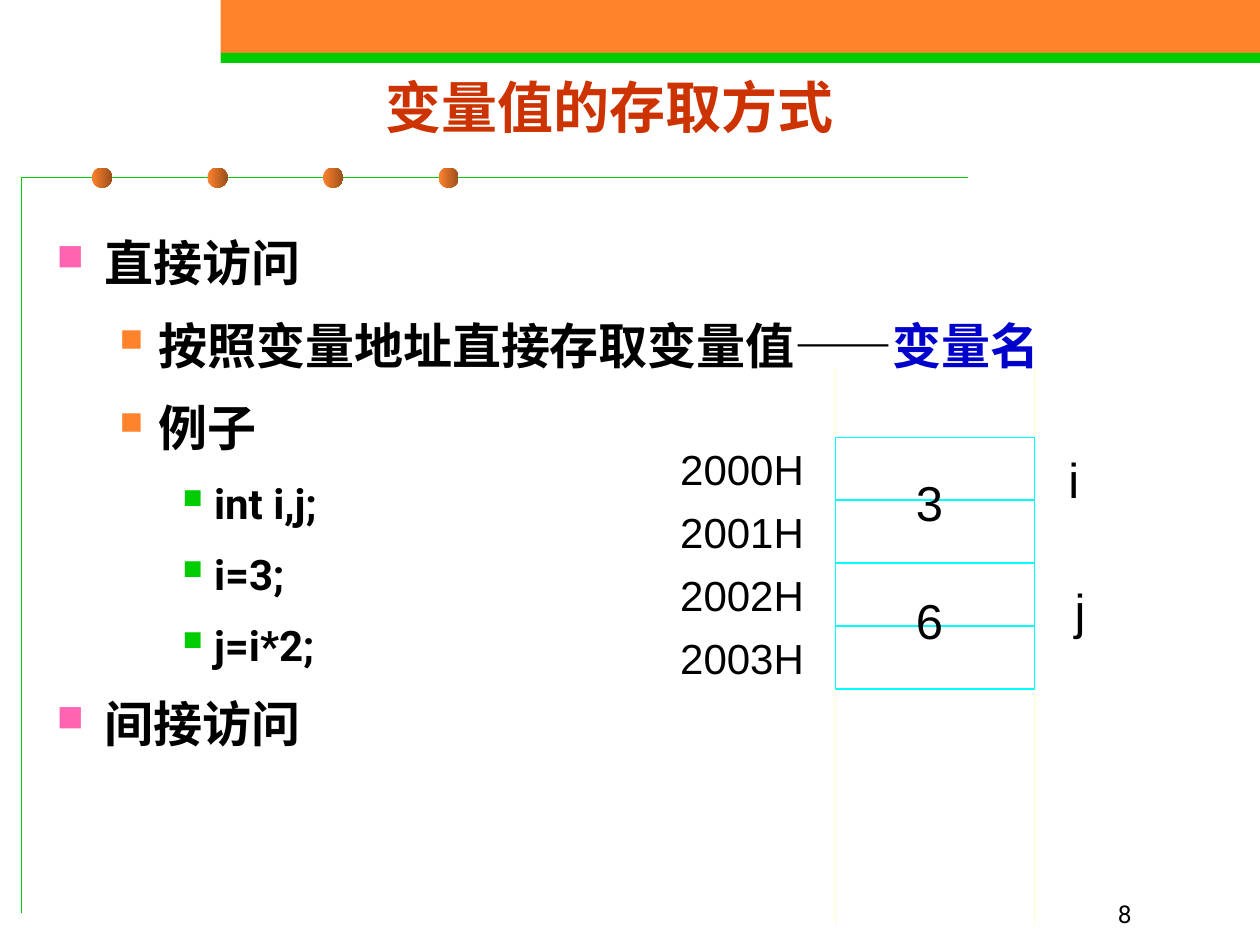
"""Build the slide on how variable values are stored and fetched."""
from dataclasses import dataclass
from typing import NamedTuple

from lxml import etree
from pptx import Presentation
from pptx.dml.color import RGBColor
from pptx.enum.shapes import MSO_CONNECTOR, MSO_SHAPE
from pptx.enum.text import MSO_ANCHOR, MSO_AUTO_SIZE, PP_ALIGN
from pptx.oxml.ns import qn
from pptx.util import Emu, Inches, Pt

RECT, OVAL = MSO_SHAPE.RECTANGLE, MSO_SHAPE.OVAL
STRAIGHT = MSO_CONNECTOR.STRAIGHT
LEFT, MID, RIGHT = PP_ALIGN.LEFT, PP_ALIGN.CENTER, PP_ALIGN.RIGHT
TOP, CENTER, BOTTOM = MSO_ANCHOR.TOP, MSO_ANCHOR.MIDDLE, MSO_ANCHOR.BOTTOM
GROW, FIXED = MSO_AUTO_SIZE.SHAPE_TO_FIT_TEXT, MSO_AUTO_SIZE.NONE
COLS, ROWS = 100, 75


@dataclass(frozen=True)
class Theme:
    sans: str = "Roboto"
    plain: str = "Arial"
    ink: str = "000000"
    title: str = "CC3300"
    key: str = "0000CC"
    orange: str = "FF822D"
    brown: str = "9B4F1B"
    green: str = "00CC00"
    pink: str = "FF63B1"
    cyan: str = "00FFFF"
    cream: str = "FFFFCC"
    head: int = 32
    large: int = 28
    small: int = 24
    page: int = 14
    thin: float = 0.75


THEME = Theme()


class Box(NamedTuple):
    col: float
    row: float
    wide: float
    high: float


class Level(NamedTuple):
    left: float
    hang: float
    space: int
    size: int
    color: str
    share: int


class Item(NamedTuple):
    level: int
    texts: tuple[tuple[str, str], ...]


class Label(NamedTuple):
    text: str
    box: Box
    size: int


LEVELS = (
    Level(3.8, 3.8, 7, THEME.large, THEME.pink, 75),
    Level(8.1, 3.1, 7, THEME.large, THEME.orange, 65),
    Level(12.5, 2.5, 6, THEME.small, THEME.green, 65),
)
ITEMS = (
    Item(0, (("直接访问", THEME.ink),)),
    Item(1, (("按照变量地址直接存取变量值——", THEME.ink), ("变量名", THEME.key))),
    Item(1, (("例子", THEME.ink),)),
    Item(2, (("int i,j;", THEME.ink),)),
    Item(2, (("i=3;", THEME.ink),)),
    Item(2, (("j=i*2;", THEME.ink),)),
    Item(0, (("间接访问", THEME.ink),)),
)
CELLS = tuple(Box(66.3, 34.7 + 5 * n, 15.8, 5) for n in range(4))
LABELS = (
    *(Label(f"{2000 + n}H", Box(53, cell.row, 11.8, 5), THEME.small)
      for n, cell in enumerate(CELLS)),
    Label("j", Box(84.3, 45.6, 2.8, 5.7), THEME.large),
    Label("i", Box(83.8, 35.2, 2.8, 5.7), THEME.large),
    Label("3", Box(71.7, 37, 4.1, 5.7), THEME.large),
    Label("6", Box(71.7, 46.4, 4.1, 5.7), THEME.large),
)

deck = Presentation()
deck.slide_width, deck.slide_height = Inches(10), Inches(7.5)
slide = deck.slides.add_slide(deck.slide_layouts[5])
shapes = slide.shapes


def across(cols: float) -> Emu:
    return Emu(round(deck.slide_width * cols / COLS))


def down(rows: float) -> Emu:
    return Emu(round(deck.slide_height * rows / ROWS))


def place(box: Box) -> tuple[Emu, Emu, Emu, Emu]:
    return across(box.col), down(box.row), across(box.wide), down(box.high)


def tint(code: str) -> RGBColor:
    return RGBColor.from_string(code)


def stroke(line, color: str) -> None:
    line.color.rgb, line.width = tint(color), Pt(THEME.thin)


def draw(kind, box: Box, fill: str = "", edge: str = "", fade: str = "") -> None:
    shape = shapes.add_shape(kind, *place(box))
    shape.shadow.inherit = False
    if fade:
        shape.fill.gradient()
        shape.fill.gradient_angle = 0
        for stop, color in zip(shape.fill.gradient_stops, (fill, fade)):
            stop.color.rgb = tint(color)
    elif fill:
        shape.fill.solid()
        shape.fill.fore_color.rgb = tint(fill)
    else:
        shape.fill.background()
    if edge:
        stroke(shape.line, edge)
    else:
        shape.line.fill.background()


def frame() -> None:
    pen = shapes.build_freeform(across(1.7), down(72.5), scale=1.0)
    pen.add_line_segments(
        [(across(1.7), down(14.1)), (across(76.8), down(14.1))], close=False)
    shape = pen.convert_to_shape()
    shape.shadow.inherit = False
    shape.fill.background()
    stroke(shape.line, THEME.green)


def rule(col: float, top: float, end: float) -> None:
    line = shapes.add_connector(
        STRAIGHT, across(col), down(top), across(col), down(end))
    stroke(line.line, THEME.cream)
    etree.SubElement(line._element.spPr, qn("a:effectLst"))


def write(para, text: str, size: int, color: str, face: str, bold: bool = False) -> None:
    run = para.add_run()
    run.text = text
    font = run.font
    font.size, font.name, font.bold = Pt(size), face, bold
    font.color.rgb = tint(color)


def panel(box: Box, anchor=TOP, wrap: bool = True):
    body = shapes.add_textbox(*place(box)).text_frame
    body.word_wrap, body.vertical_anchor = wrap, anchor
    return body


def bullet(para, level: Level) -> None:
    props = para._p.get_or_add_pPr()
    props.set("marL", str(across(level.left)))
    props.set("indent", str(-across(level.hang)))
    color = etree.SubElement(props, qn("a:buClr"))
    etree.SubElement(color, qn("a:srgbClr"), val=level.color)
    etree.SubElement(props, qn("a:buSzPct"), val=str(level.share * 1000))
    etree.SubElement(props, qn("a:buChar"), char="■")


def outline(box: Box, items: tuple[Item, ...]) -> None:
    body = panel(box)
    for n, item in enumerate(items):
        para = body.add_paragraph() if n else body.paragraphs[0]
        level = LEVELS[item.level]
        para.level = item.level
        bullet(para, level)
        para.line_spacing = 1.2
        para.space_before = Pt(level.space if n else 0)
        for text, color in item.texts:
            write(para, text, level.size, color, THEME.sans, True)


def heading(text: str, box: Box) -> None:
    title = shapes.title
    title.left, title.top, title.width, title.height = place(box)
    body = title.text_frame
    body.word_wrap, body.vertical_anchor, body.auto_size = True, CENTER, FIXED
    body.paragraphs[0].alignment = MID
    write(body.paragraphs[0], text, THEME.head, THEME.title, THEME.sans, True)


def main() -> None:
    draw(RECT, Box(17.5, 0, 82.5, 4.2), THEME.orange)
    draw(RECT, Box(17.5, 4.2, 82.5, 0.8), THEME.green)
    frame()
    for n in range(4):
        draw(OVAL, Box(7.3 + 9.17 * n, 13.3, 1.6, 1.6), THEME.orange, fade=THEME.brown)
    page = panel(Box(70, 69.2, 20.8, 5), BOTTOM).paragraphs[0]
    page.alignment = RIGHT
    write(page, "8", THEME.page, THEME.ink, THEME.sans)
    heading("变量值的存取方式", Box(5.1, 5.2, 86.6, 6.5))
    outline(Box(3.5, 17, 92.9, 51.2), ITEMS)
    for col in (66.3, 82.1):
        rule(col, 29.2, 73.4)
    for cell in CELLS:
        draw(RECT, cell, edge=THEME.cyan)
    for label in LABELS:
        body = panel(label.box, wrap=False)
        body.auto_size = GROW
        body.paragraphs[0].alignment = LEFT
        write(body.paragraphs[0], label.text, label.size, THEME.ink, THEME.plain)
    deck.save("out.pptx")


if __name__ == "__main__":
    main()
